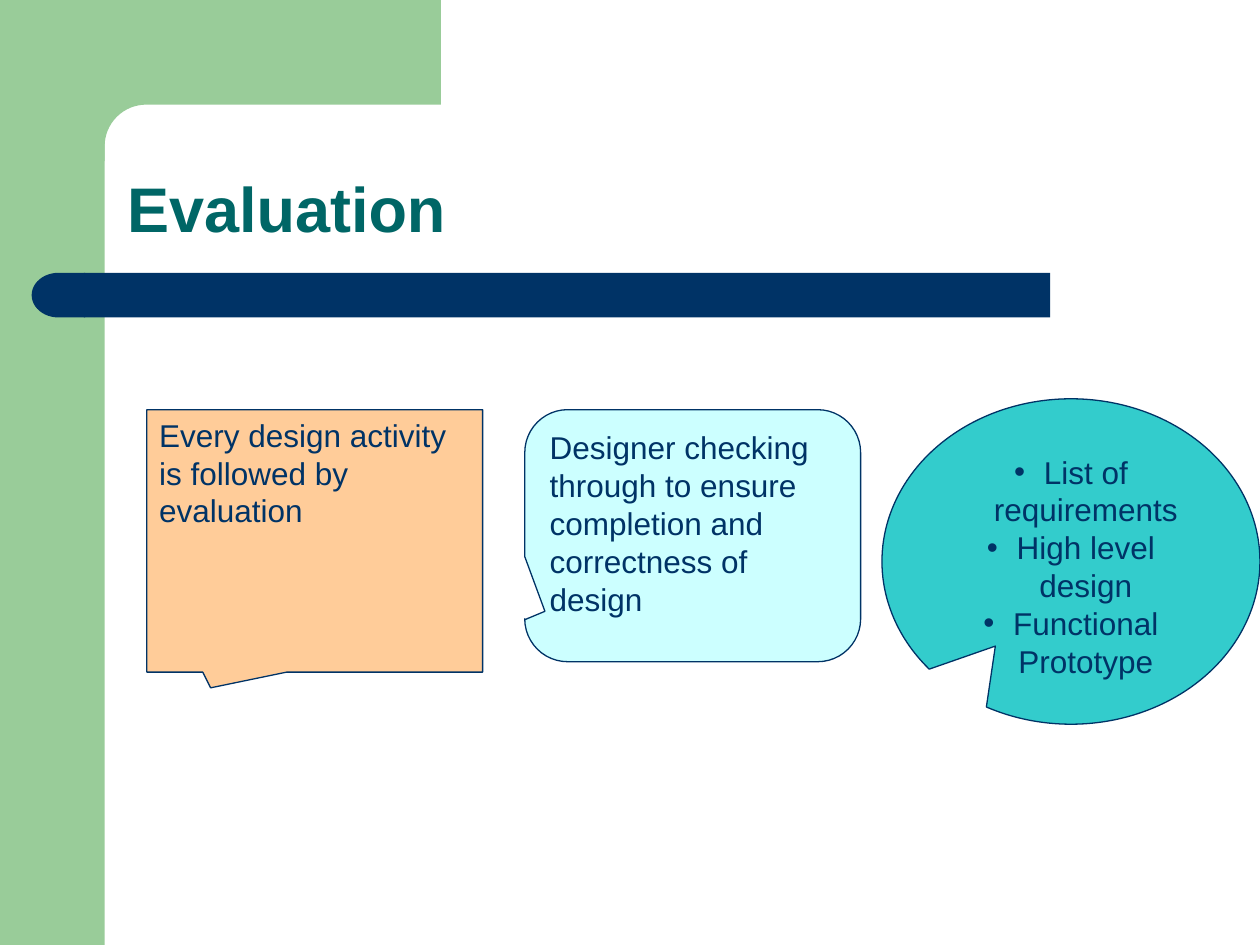
"""Build the Evaluation slide with three callouts."""
import math

import pptx
import pptx.dml.color
import pptx.enum.shapes
import pptx.enum.text
import pptx.oxml
import pptx.oxml.ns
import pptx.util

Cm = pptx.util.Cm
Pt = pptx.util.Pt
SHAPE = pptx.enum.shapes.MSO_SHAPE
ALIGN = pptx.enum.text.PP_ALIGN
ANCHOR = pptx.enum.text.MSO_ANCHOR

COLORS = {
    "green": "99CC99",
    "navy": "003366",
    "teal": "006666",
    "peach": "FFCC99",
    "ice": "CCFFFF",
    "turquoise": "33CCCC",
}
FONT = "Arial"
TITLE = "Evaluation"
TITLE_AREA = (2.31, 2.31, 21.62, 2.77)
SIDEBAR = (0, 0, 2.11, 19.05)
BAR = (1.69, 5.5, 19.48, 0.9)
BAR_CAP = (0.64, 5.5, 1.08, 0.9)
CORNER = {"left": 1.27, "right": 8.89, "inner_x": 2.11, "inner_y": 2.11, "radius": 0.84}
BULLET_INDENT = 0.6

CALLOUTS = [
    {
        "kind": SHAPE.RECTANGULAR_CALLOUT,
        "area": (2.96, 8.26, 6.77, 5.29),
        "adjustments": (-0.31, 0.56),
        "fill": "peach",
        "lines": ["Every design activity is followed by evaluation"],
        "bulleted": False,
    },
    {
        "kind": SHAPE.ROUNDED_RECTANGULAR_CALLOUT,
        "area": (10.58, 8.26, 6.77, 5.08),
        "adjustments": (-0.44, 0.3, 0.17),
        "fill": "ice",
        "lines": ["Designer checking through to ensure completion and correctness of design"],
        "bulleted": False,
    },
    {
        "kind": SHAPE.OVAL_CALLOUT,
        "area": (17.78, 8.04, 7.62, 6.56),
        "adjustments": (-0.2, 0.26),
        "fill": "turquoise",
        "lines": ["List of requirements", "High level design", "Functional Prototype"],
        "bulleted": True,
    },
]


def color(name):
    return pptx.dml.color.RGBColor.from_string(COLORS[name])


def paint(shape, fill, line=None):
    shape.shadow.inherit = False
    shape.fill.solid()
    shape.fill.fore_color.rgb = color(fill)
    if line:
        shape.line.color.rgb = color(line)
        shape.line.width = Pt(0.75)
    else:
        shape.line.fill.background()


def add_block(page, kind, area, fill, line=None, adjustments=()):
    shape = page.shapes.add_shape(kind, *map(Cm, area))
    paint(shape, fill, line)
    for index, value in enumerate(adjustments):
        shape.adjustments[index] = value
    return shape


def add_corner(page):
    left, right, x, y, radius = CORNER.values()
    angles = [math.radians(90 * step / 16) for step in range(17)]
    arc = [
        (x + radius * (1 - math.sin(angle)), y + radius * (1 - math.cos(angle)))
        for angle in angles
    ]
    points = [(right, 0), (right, y), *arc, (x, y + 1.14), (left, y + 1.14), (left, 0)]
    outline = [(Cm(across), Cm(down)) for across, down in points]
    builder = page.shapes.build_freeform(*outline[0])
    builder.add_line_segments(outline[1:], close=True)
    paint(builder.convert_to_shape(), "green")


def add_bullet(para):
    properties = para._p.get_or_add_pPr()
    properties.set("marL", str(Cm(BULLET_INDENT)))
    properties.set("indent", str(-Cm(BULLET_INDENT)))
    namespace = pptx.oxml.ns.nsdecls("a")
    for xml in (
        f'<a:buClr {namespace}><a:srgbClr val="{COLORS["navy"]}"/></a:buClr>',
        f'<a:buFont {namespace} typeface="{FONT}"/>',
        f'<a:buChar {namespace} char="•"/>',
    ):
        properties.append(pptx.oxml.parse_xml(xml))


def style(para, size, name, bold=False):
    para.font.name = FONT
    para.font.size = Pt(size)
    para.font.bold = bold
    para.font.color.rgb = color(name)


def add_title(page):
    title = page.shapes.title
    title.left, title.top, title.width, title.height = map(Cm, TITLE_AREA)
    frame = title.text_frame
    frame.text = TITLE
    frame.word_wrap = True
    frame.auto_size = pptx.enum.text.MSO_AUTO_SIZE.NONE
    frame.vertical_anchor = ANCHOR.BOTTOM
    para = frame.paragraphs[0]
    para.alignment = ALIGN.LEFT
    para.line_spacing = 0.9
    style(para, 36, "teal", bold=True)


def add_callout(page, callout):
    box = add_block(
        page, callout["kind"], callout["area"], callout["fill"], "navy", callout["adjustments"]
    )
    frame = box.text_frame
    frame.word_wrap = True
    frame.vertical_anchor = ANCHOR.TOP
    frame.text = "\n".join(callout["lines"])
    for para in frame.paragraphs:
        para.alignment = ALIGN.CENTER if callout["bulleted"] else ALIGN.LEFT
        if callout["bulleted"]:
            add_bullet(para)
        style(para, 18, "navy")


def main():
    deck = pptx.Presentation()
    deck.slide_width, deck.slide_height = Cm(25.4), Cm(19.05)
    page = deck.slides.add_slide(deck.slide_layouts.get_by_name("Title Only"))
    add_block(page, SHAPE.RECTANGLE, SIDEBAR, "green")
    add_corner(page)
    add_block(page, SHAPE.RECTANGLE, BAR, "navy")
    cap = add_block(page, SHAPE.FLOWCHART_DELAY, BAR_CAP, "navy")
    cap._element.spPr.get_or_add_xfrm().set("flipH", "1")
    add_title(page)
    for callout in CALLOUTS:
        add_callout(page, callout)
    deck.save("out.pptx")


if __name__ == "__main__":
    main()
